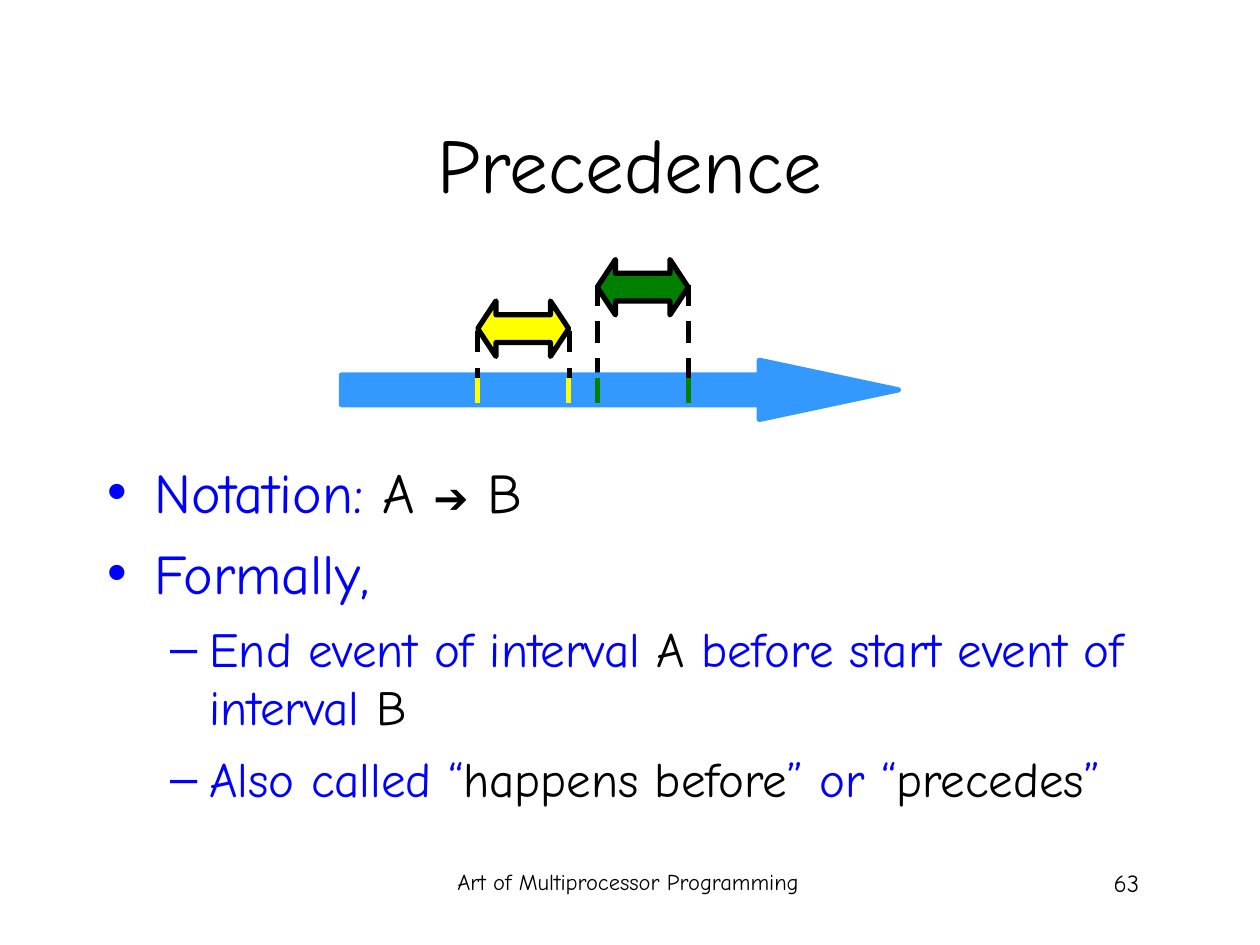
from dataclasses import dataclass

import pptx
import pptx.dml.color
import pptx.enum.dml
import pptx.enum.shapes
import pptx.enum.text
import pptx.util
from lxml import etree
from pptx.oxml.ns import qn

Pt = pptx.util.Pt
Shape = pptx.enum.shapes.MSO_SHAPE
Align = pptx.enum.text.PP_ALIGN

FACE = "Comic Neue"
HUES = {"ink": "000000", "text": "0000FF", "time": "3399FF",
        "first": "FFFF00", "second": "008000"}


@dataclass
class Span:
    left: float
    top: float
    hue: str


@dataclass
class Line:
    x: float
    top: float
    end: float
    hue: str
    dash: bool = False


@dataclass
class Level:
    depth: int
    mark: str
    size: float
    left: float
    hang: float
    gap: float


@dataclass
class Item:
    level: Level
    words: list[tuple[str, str]]


MAIN = Level(0, "•", 32, 27, 27, 8)
SUB = Level(1, "–", 28, 58.5, 22.5, 7)
ITEMS = [
    Item(MAIN, [("Notation: ", "text"), ("A ", "ink"), ("➔", "ink"),
                (" B", "ink")]),
    Item(MAIN, [("Formally,", "text")]),
    Item(SUB, [("End event of interval ", "text"), ("A", "ink"),
               (" before start event of interval ", "text"), ("B", "ink")]),
    Item(SUB, [("Also called “", "text"), ("happens before", "ink"),
               ("” or “", "text"), ("precedes", "ink"), ("”", "text")]),
]

WIDTH, HEIGHT = 52, 31.7
AXIS, FOOT = 216, 230.4
SPANS = [Span(273, 172, "first"), Span(341.3, 148.3, "second")]
BACK = Line(341.3, 162.7, FOOT, "ink", True)
DASHES = [Line(273, 189.4, AXIS, "ink", True),
          Line(325.6, 189.4, AXIS, "ink", True),
          Line(393.3, 162.7, FOOT, "ink", True)]


def rgb(hue: str) -> pptx.dml.color.RGBColor:
    return pptx.dml.color.RGBColor.from_string(HUES[hue])


def place(shape, left: float, top: float, width: float, height: float) -> None:
    shape.left, shape.top = Pt(left), Pt(top)
    shape.width, shape.height = Pt(width), Pt(height)


def style(font, size: float, hue: str) -> None:
    font.name, font.size = FACE, Pt(size)
    font.color.rgb = rgb(hue)


def draw_line(slide, line: Line) -> None:
    shape = slide.shapes.add_connector(
        pptx.enum.shapes.MSO_CONNECTOR.STRAIGHT,
        Pt(line.x), Pt(line.top), Pt(line.x), Pt(line.end))
    shape.line.color.rgb = rgb(line.hue)
    shape.line.width = Pt(3)
    if line.dash:
        shape.line.dash_style = pptx.enum.dml.MSO_LINE.DASH
    etree.SubElement(shape._element.spPr, qn("a:effectLst"))


def draw_arrow(slide, kind: Shape, box: tuple, fill: str, edge: str,
               head: float) -> None:
    shape = slide.shapes.add_shape(kind, *map(Pt, box))
    shape.shadow.inherit = False
    shape.adjustments[0], shape.adjustments[1] = 0.5, head
    shape.fill.solid()
    shape.fill.fore_color.rgb = rgb(fill)
    shape.line.color.rgb = rgb(edge)
    shape.line.width = Pt(3)


def draw_note(slide, box: tuple, text: str, size: float, align: Align) -> None:
    frame = slide.shapes.add_textbox(*map(Pt, box)).text_frame
    frame.word_wrap = True
    para = frame.paragraphs[0]
    para.text, para.alignment = text, align
    style(para.font, size, "ink")


def add_mark(para, level: Level) -> None:
    """Give a paragraph its hanging indent and coloured bullet."""
    props = para._p.get_or_add_pPr()
    props.set("marL", str(Pt(level.left)))
    props.set("indent", str(-Pt(level.hang)))
    tint = etree.SubElement(props, qn("a:buClr"))
    etree.SubElement(tint, qn("a:srgbClr"), val=HUES["text"])
    etree.SubElement(props, qn("a:buChar"), char=level.mark)


def fill_list(frame) -> None:
    for num, item in enumerate(ITEMS):
        para = frame.add_paragraph() if num else frame.paragraphs[0]
        level = item.level
        para.level = level.depth
        add_mark(para, level)
        para.space_before = Pt(level.gap if num else 0)
        style(para.font, level.size, "text")
        for text, hue in item.words:
            run = para.add_run()
            run.text = text
            if hue != "text":
                run.font.color.rgb = rgb(hue)
            if text == "➔":
                run.font.name, run.font.size = "Arial", Pt(24)


def main() -> None:
    deck = pptx.Presentation()
    deck.slide_width, deck.slide_height = Pt(720), Pt(540)
    slide = deck.slides.add_slide(deck.slide_layouts[1])

    draw_note(slide, (244.8, 492.5, 228.2, 36),
              "Art of Multiprocessor Programming", 12.9, Align.CENTER)
    draw_note(slide, (508.3, 492.5, 149.8, 36), "63", 14, Align.RIGHT)

    title = slide.shapes.title
    place(title, 54, 48.2, 612, 90)
    title.text_frame.vertical_anchor = pptx.enum.text.MSO_ANCHOR.MIDDLE
    para = title.text_frame.paragraphs[0]
    para.text, para.alignment = "Precedence", Align.CENTER
    style(para.font, 44, "ink")

    draw_line(slide, BACK)
    draw_arrow(slide, Shape.RIGHT_ARROW, (195.1, 205.9, 318.2, 33.8),
               "time", "time", 2.35)
    for dash in DASHES:
        draw_line(slide, dash)
    for span in SPANS:
        draw_arrow(slide, Shape.LEFT_RIGHT_ARROW,
                   (span.left, span.top, WIDTH, HEIGHT),
                   span.hue, "ink", 0.33)
        for x in (span.left, span.left + WIDTH):
            draw_line(slide, Line(x, AXIS, FOOT, span.hue))

    body = slide.placeholders[1]
    place(body, 54, 257.8, 612, 221.8)
    body.text_frame.auto_size = pptx.enum.text.MSO_AUTO_SIZE.NONE
    fill_list(body.text_frame)

    deck.save("out.pptx")


if __name__ == "__main__":
    main()
